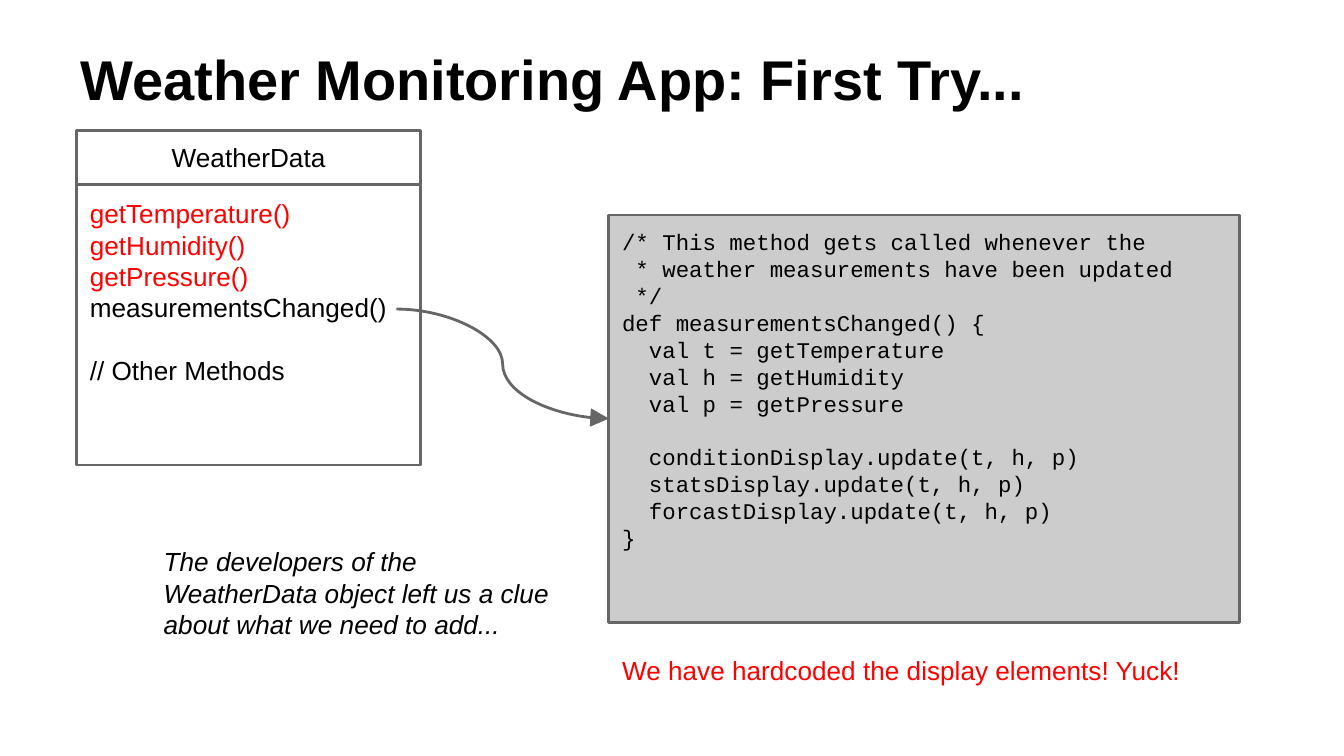
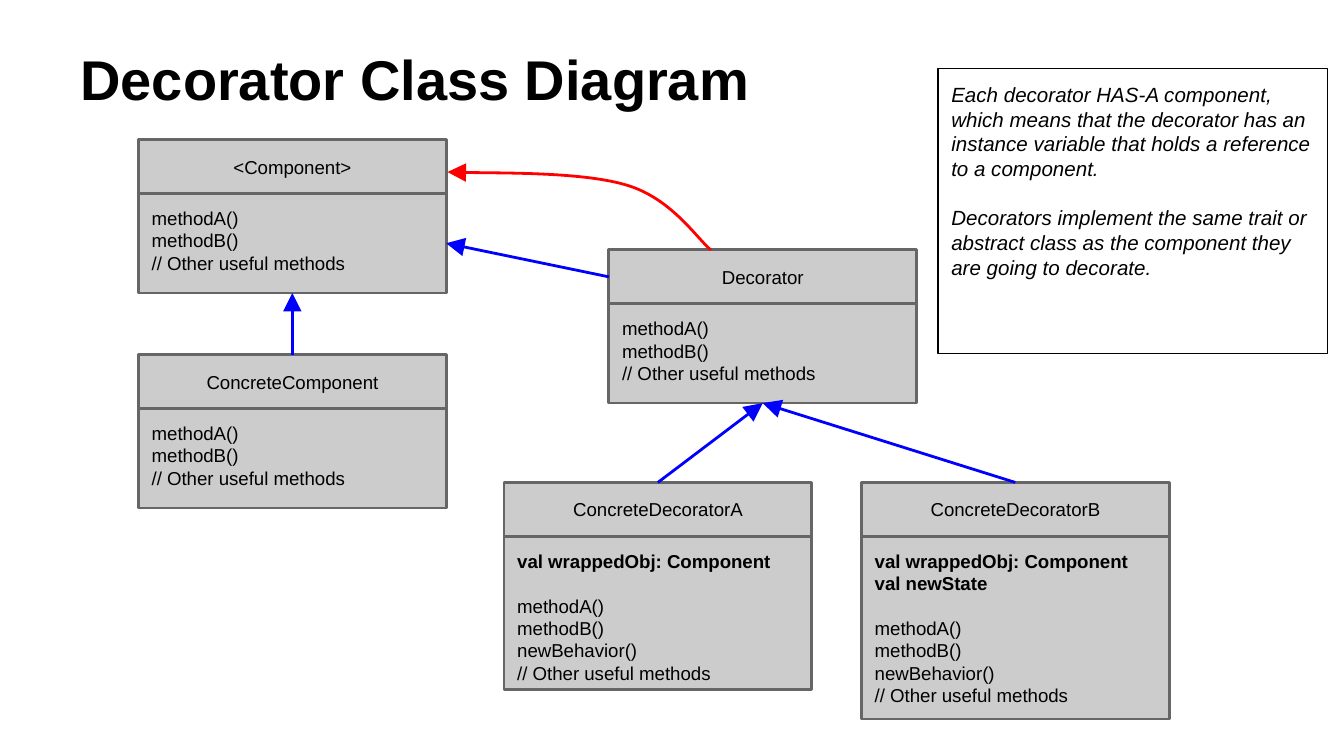
from lxml import etree
from pptx import Presentation, util as u
from pptx.dml.color import RGBColor
from pptx.enum import shapes, text
from pptx.oxml.ns import qn

INK = {"black": "000000", "white": "FFFFFF", "gray": "CCCCCC",
       "edge": "666666", "red": "FF0000", "blue": "0000FF"}
SANS, MONO = "Arial", "Courier New"
HEAD = 0.4
WIDE = 2.29
LEAD = 1.2
BASIC = ["methodA()", "methodB()", "// Other useful methods"]
EXTRA = ["", "methodA()", "methodB()", "newBehavior()", "// Other useful methods"]


def tint(name):
    return RGBColor.from_string(INK[name])


def inches(*box):
    return [u.Inches(v) for v in box]


def write(shape, lines, size, font=SANS, color="black", bold=False,
          slant=False, mid=False):
    frame = shape.text_frame
    frame.word_wrap = True
    frame.margin_left = frame.margin_right = u.Inches(0.1)
    frame.margin_top = frame.margin_bottom = u.Inches(0.1)
    frame.vertical_anchor = text.MSO_ANCHOR.MIDDLE if mid else text.MSO_ANCHOR.TOP
    para, gap = None, False
    for line in lines:
        if not line:
            gap = True
            continue
        words, own = line if isinstance(line, tuple) else (line, {})
        para = frame.paragraphs[0] if para is None else frame.add_paragraph()
        para.alignment = text.PP_ALIGN.CENTER if mid else text.PP_ALIGN.LEFT
        para.line_spacing = u.Pt(LEAD * size)
        para.space_before = u.Pt(LEAD * size if gap else 0)
        gap = False
        bare = words.lstrip()
        depth = len(words) - len(bare)
        if depth:
            indent = u.Pt(0.6 * size * depth)
            para._p.get_or_add_pPr().set("marL", str(int(indent)))
        run = para.add_run()
        run.text = bare
        run.font.size = u.Pt(size)
        run.font.name = font
        run.font.bold = own.get("bold", bold)
        run.font.italic = slant
        run.font.color.rgb = tint(own.get("color", color))


def label(slide, box, lines, size, **style):
    write(slide.shapes.add_textbox(*inches(*box)), lines, size, **style)


def title(slide, words):
    label(slide, (0.5, 0.23, 9, 0.94), [words], 30, bold=True)


def panel(home, box, lines, size, fill="gray", edge="edge", width=1.5, **style):
    shape = home.shapes.add_shape(shapes.MSO_SHAPE.RECTANGLE, *inches(*box))
    shape.shadow.inherit = False
    if fill:
        shape.fill.solid()
        shape.fill.fore_color.rgb = tint(fill)
    else:
        shape.fill.background()
    shape.line.color.rgb = tint(edge)
    shape.line.width = u.Pt(width)
    write(shape, lines, size, **style)
    return shape


def entity(home, box, name, lines, size=10, fill="gray"):
    left, top, wide, high = box
    body = panel(home, (left, top + HEAD, wide, high - HEAD), lines, size, fill)
    head = panel(home, (left, top, wide, HEAD), [name], size, fill, mid=True)
    return head, body


def point(line, color):
    line.color.rgb = tint(color)
    line.width = u.Pt(1.5)
    tail = etree.SubElement(line._get_or_add_ln(), qn("a:tailEnd"))
    for key, value in (("type", "triangle"), ("w", "lg"), ("len", "lg")):
        tail.set(key, value)


def arrow(slide, start, end, color="blue", kind="STRAIGHT"):
    link = slide.shapes.add_connector(shapes.MSO_CONNECTOR[kind], 0, 0, 0, 0)
    if isinstance(start[0], float):
        link.begin_x, link.begin_y = inches(*start)
    else:
        link.begin_connect(*start)
    link.end_connect(*end)
    point(link.line, color)
    etree.SubElement(link._element.spPr, qn("a:effectLst"))


def curve(slide, start, knots, color):
    pen = slide.shapes.build_freeform(*inches(*start), scale=1.0)
    pen.add_line_segments([inches(*knot) for knot in knots], close=False)
    shape = pen.convert_to_shape()
    shape.shadow.inherit = False
    shape.fill.background()
    point(shape.line, color)
    legs = list(shape._element.iter(qn("a:lnTo")))
    for i in range(0, len(legs), 3):
        bend = etree.Element(qn("a:cubicBezTo"))
        legs[i].addprevious(bend)
        for leg in legs[i:i + 3]:
            bend.append(leg[0])
            leg.getparent().remove(leg)


def weather(slide):
    title(slide, "Weather Monitoring App: First Try...")
    getters = ["getTemperature()", "getHumidity()", "getPressure()"]
    entity(slide, (0.57, 0.97, 2.56, 2.49), "WeatherData",
           [(name, {"color": "red"}) for name in getters]
           + ["measurementsChanged()", "", "// Other Methods"], 14, "white")
    code = panel(slide, (4.53, 1.6, 4.69, 3.03), [
        "/* This method gets called whenever the",
        " * weather measurements have been updated",
        " */",
        "def measurementsChanged() {",
        "  val t = getTemperature",
        "  val h = getHumidity",
        "  val p = getPressure",
        "",
        "  conditionDisplay.update(t, h, p)",
        "  statsDisplay.update(t, h, p)",
        "  forcastDisplay.update(t, h, p)",
        "}"], 12, font=MONO)
    arrow(slide, (2.95, 2.3), (code, 1), "edge", "CURVE")
    label(slide, (1.12, 3.96, 3.2, 0.94),
          ["The developers of the WeatherData object left us a clue "
           "about what we need to add..."], 14, slant=True)
    label(slide, (4.53, 4.77, 4.69, 0.67),
          ["We have hardcoded the display elements! Yuck!"], 14, color="red")


def diagram(slide):
    title(slide, "Decorator Class Diagram")
    wrap = ("val wrappedObj: Component", {"bold": True})
    state = ("val newState", {"bold": True})
    nodes = {}
    for name, left, top, high, lines in [
            ("<Component>", 1.03, 1.04, 1.14, BASIC),
            ("ConcreteComponent", 1.03, 2.64, 1.14, BASIC),
            ("Decorator", 4.53, 1.86, 1.14, BASIC),
            ("ConcreteDecoratorA", 3.75, 3.59, 1.54, [wrap] + EXTRA),
            ("ConcreteDecoratorB", 6.41, 3.59, 1.76, [wrap, state] + EXTRA)]:
        group = slide.shapes.add_group_shape()
        nodes[name] = entity(group, (left, top, WIDE, high), name, lines)
    for child, out, base, into in [
            ("ConcreteDecoratorA", 0, "Decorator", 2),
            ("ConcreteDecoratorB", 0, "Decorator", 2),
            ("Decorator", 1, "<Component>", 3),
            ("ConcreteComponent", 0, "<Component>", 2)]:
        arrow(slide, (nodes[child][0], out), (nodes[base][1], into))
    curve(slide, (5.29, 1.86), [(5.19, 1.78), (5, 1.48), (4.67, 1.38),
                                (4.35, 1.28), (3.56, 1.29), (3.33, 1.28)], "red")
    panel(slide, (6.98, 0.51, 2.9, 2.12), [
        "Each decorator HAS-A component, which means that the decorator has "
        "an instance variable that holds a reference to a component.",
        "",
        "Decorators implement the same trait or abstract class as the "
        "component they are going to decorate."],
        11, fill=None, edge="black", width=0.75, slant=True)


def main():
    deck = Presentation()
    deck.slide_width, deck.slide_height = inches(10, 10 * 9 / 16)
    for build in (weather, diagram):
        build(deck.slides.add_slide(deck.slide_layouts[6]))
    deck.save("out.pptx")


if __name__ == "__main__":
    main()
